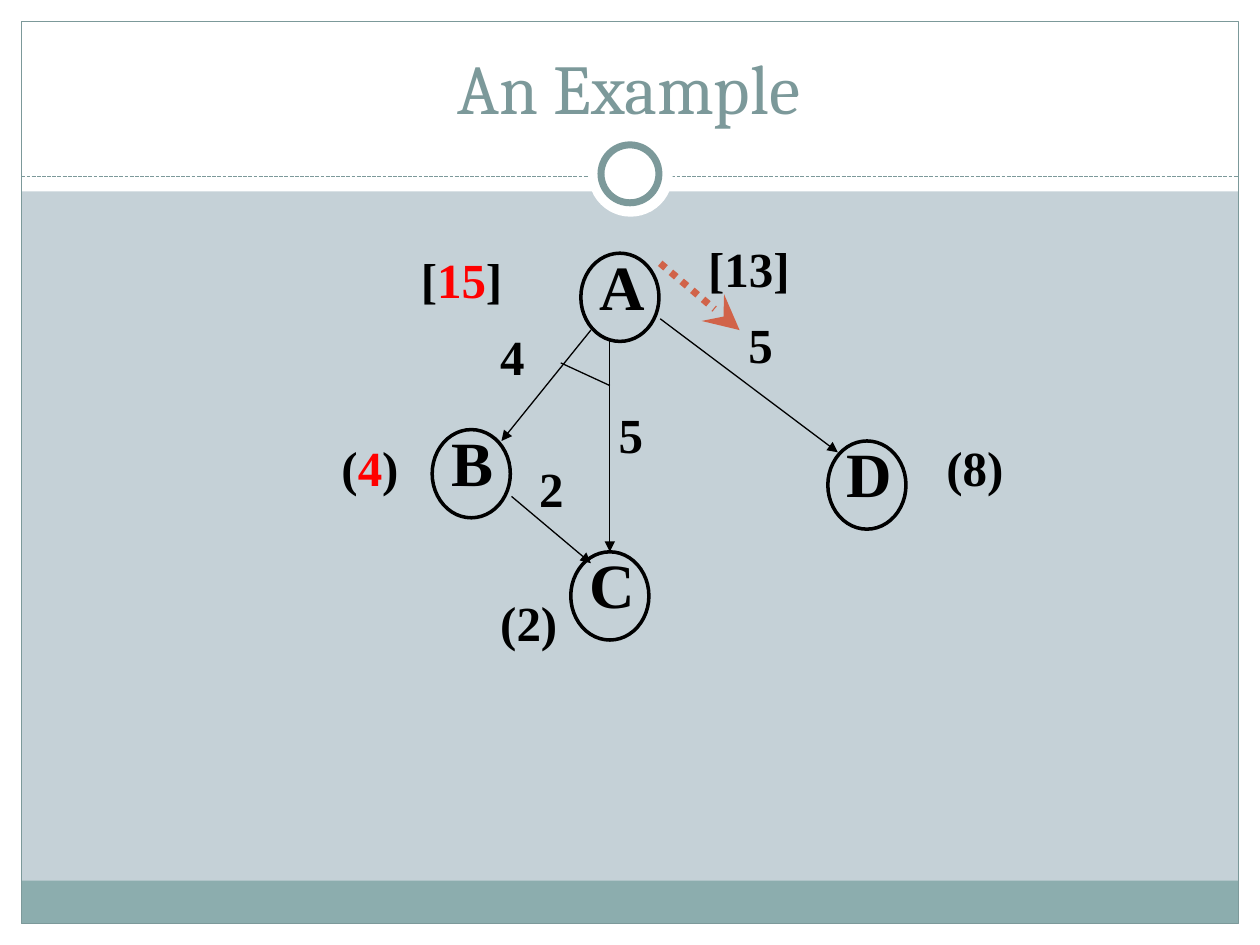
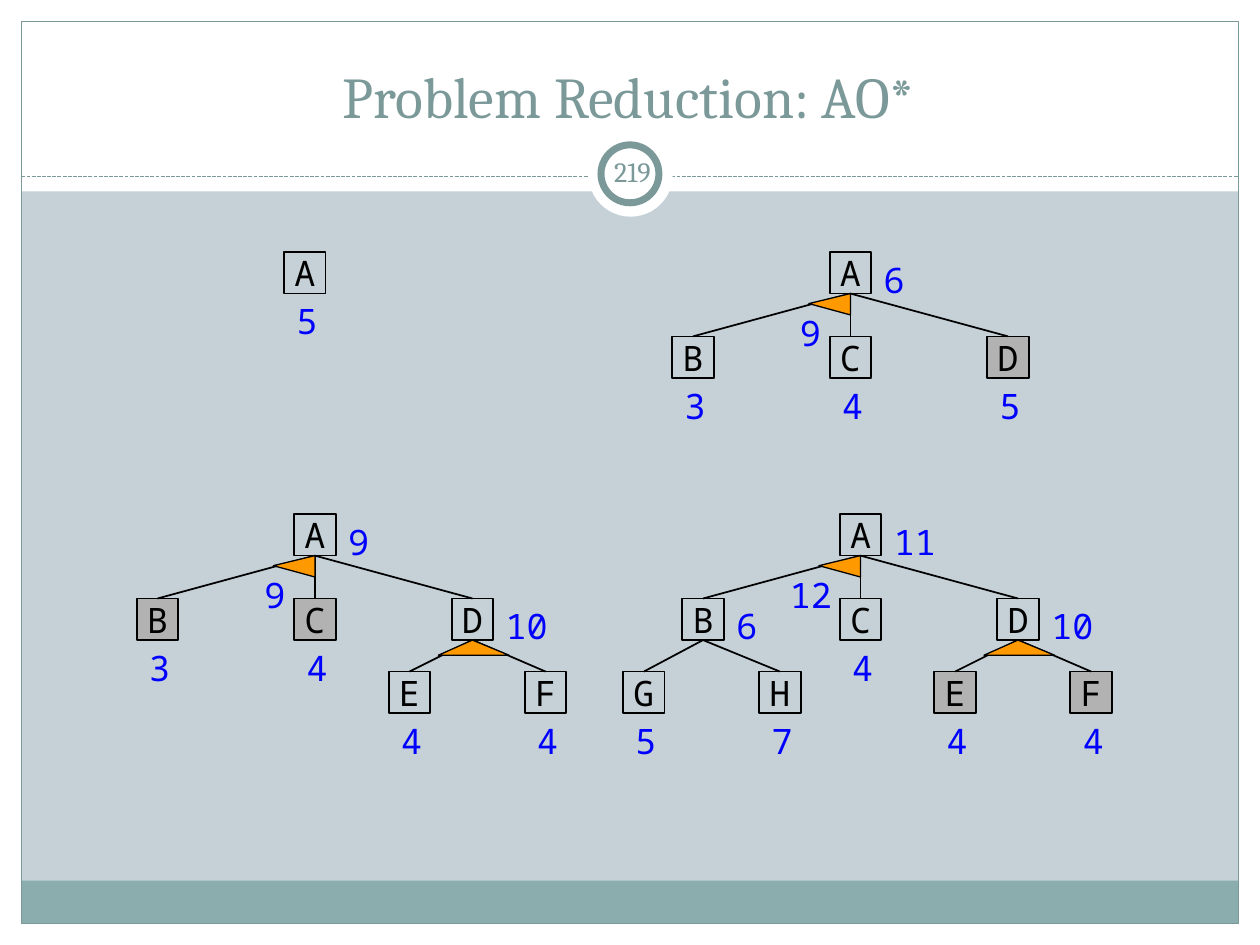
from dataclasses import dataclass

from lxml.etree import SubElement
from pptx import Presentation
from pptx.dml.color import RGBColor
from pptx.enum.dml import MSO_LINE
from pptx.enum.shapes import MSO_CONNECTOR, MSO_SHAPE
from pptx.enum.text import MSO_ANCHOR, MSO_AUTO_SIZE, PP_ALIGN
from pptx.oxml.ns import qn
from pptx.util import Inches, Pt

BLACK = RGBColor(0x00, 0x00, 0x00)
WHITE = RGBColor(0xFF, 0xFF, 0xFF)
RED = RGBColor(0xFF, 0x00, 0x00)
BLUE = RGBColor(0x00, 0x00, 0xFF)
ORANGE = RGBColor(0xFF, 0x99, 0x00)
GRAY = RGBColor(0xB2, 0xB2, 0xB2)
RUST = RGBColor(0xD1, 0x63, 0x49)
TEAL = RGBColor(0x7C, 0x99, 0x9A)
FOOTER = RGBColor(0x8C, 0xAD, 0xAE)
BACKDROP = RGBColor(0xC5, 0xD1, 0xD7)

SERIF = {"name": "Cambria", "color": TEAL}
TIMES = {"name": "Times New Roman", "bold": True, "color": BLACK}
MONO = {"name": "Noto Sans Mono", "size": Pt(20)}

SIDE = 0.33
WIDE = (-1.25, 0, 1.25)
FORK = (-0.5, 0.58)
LEFT_FORK = (-0.47, 0.61)
LEFT_ARC = ((-0.33, 0.08), (0, 0.17))
BOTH_ARC = ((-0.27, 0.12), (0.29, 0.12))
DROPS = {2: 0.58, 3: 0.67}
LABEL_WIDTHS = {1: 0.34, 3: 0.61, 4: 0.8}


@dataclass
class Node:
    """A node of a search tree with its cost and branches."""
    name: str
    cost: str
    kids: tuple = ()
    spread: tuple = ()
    arc: tuple = ()
    arc_cost: str = ""
    shaded: bool = False


def inches(*values):
    """Turn numbers into lengths."""
    return [Inches(v) for v in values]


def write(p, text, **font):
    """Add a formatted run to a paragraph."""
    r = p.add_run()
    r.text = text
    for key, value in font.items():
        if key == "color":
            r.font.color.rgb = value
        else:
            setattr(r.font, key, value)


def set_frame(tf, **values):
    """Set the attributes of a text frame."""
    for key, value in values.items():
        setattr(tf, key, value)


def paint(sp, fill=None, line=None, width=0.75):
    """Give a shape its fill and line without a shadow."""
    sp.shadow.inherit = False
    if fill is None:
        sp.fill.background()
    else:
        sp.fill.solid()
        sp.fill.fore_color.rgb = fill
    if line is None:
        sp.line.fill.background()
    else:
        sp.line.color.rgb = line
        sp.line.width = Pt(width)
    return sp


def add_shape(shapes, kind, box, **look):
    """Add a painted preset shape."""
    return paint(shapes.add_shape(kind, *inches(*box)), **look)


def add_line(shapes, ends, color=BLACK, width=0.75, dash=None, head=None):
    """Add a straight line with an optional dash and arrowhead."""
    c = shapes.add_connector(MSO_CONNECTOR.STRAIGHT, *inches(*ends))
    c.line.color.rgb = color
    c.line.width = Pt(width)
    if dash is not None:
        c.line.dash_style = dash
    spPr = c.element.spPr
    if head:
        SubElement(spPr.find(qn("a:ln")), qn("a:tailEnd"), head)
    SubElement(spPr, qn("a:effectLst"))
    return c


def build_frame(layout, s):
    """Draw the bands, border and ring and place them on the layout."""
    layout.background.fill.solid()
    layout.background.fill.fore_color.rgb = BACKDROP
    for ph in list(layout.placeholders)[1:]:
        layout.shapes.element.remove(ph.element)
    rect, oval = MSO_SHAPE.RECTANGLE, MSO_SHAPE.OVAL
    parts = [add_shape(s.shapes, rect, box, fill=WHITE) for box in (
        (0, 7.33, 10, 0.17), (0, 0, 10, 1.52),
        (0, 0, 0.17, 7.5), (9.83, 0, 0.17, 7.5))]
    parts += [
        add_shape(s.shapes, rect, (0.17, 6.99, 9.66, 0.34), fill=FOOTER),
        add_shape(s.shapes, rect, (0.17, 0.17, 9.66, 7.16), line=TEAL),
        add_line(s.shapes, (0.17, 1.4, 9.83, 1.4), TEAL,
                 dash=MSO_LINE.SQUARE_DOT),
        add_shape(s.shapes, oval, (4.67, 1.05, 0.67, 0.67), fill=WHITE),
        add_shape(s.shapes, oval, (4.77, 1.15, 0.46, 0.46),
                  fill=WHITE, line=TEAL, width=4)]
    for part in parts:
        layout.shapes.element.append(part.element)


def set_title(s, text, size, height):
    """Place and format the slide title."""
    sp = s.shapes.title
    sp.left, sp.top, sp.width, sp.height = inches(0.33, 0.25, 9.32, height)
    tf = sp.text_frame
    set_frame(tf, vertical_anchor=MSO_ANCHOR.BOTTOM, word_wrap=True)
    p = tf.paragraphs[0]
    p.alignment = PP_ALIGN.CENTER
    write(p, text, size=Pt(size), **SERIF)


def add_page_number(s, number, box):
    """Write the page number inside the ring."""
    tf = s.shapes.add_textbox(*inches(*box)).text_frame
    margins = dict.fromkeys(
        ("margin_left", "margin_top", "margin_right", "margin_bottom"),
        Inches(0.05))
    set_frame(tf, word_wrap=True, vertical_anchor=MSO_ANCHOR.MIDDLE, **margins)
    p = tf.paragraphs[0]
    p.alignment = PP_ALIGN.CENTER
    write(p, number, size=Pt(16), **SERIF)


def add_graph_text(shapes, box, size, runs):
    """Add bold graph text made of (text, colour) runs."""
    tf = shapes.add_textbox(*inches(*box)).text_frame
    set_frame(tf, word_wrap=False, auto_size=MSO_AUTO_SIZE.SHAPE_TO_FIT_TEXT,
              margin_left=Inches(0.07), margin_right=Inches(0.07),
              margin_top=Inches(0.03), margin_bottom=Inches(0.03))
    p = tf.paragraphs[0]
    p.line_spacing = 0.88
    for text, color in runs:
        write(p, text, size=Pt(size), **{**TIMES, "color": color})


def add_graph(s, x, y):
    """Draw the AND-OR graph with its top left corner at x, y."""
    shapes = s.shapes.add_group_shape().shapes
    for name, dx, dy in (("A", 1.97, 0.09), ("B", 0.79, 1.49),
                         ("C", 1.89, 2.46), ("D", 3.93, 1.58)):
        add_shape(shapes, MSO_SHAPE.OVAL, (x + dx, y + dy, 0.62, 0.7),
                  line=BLACK, width=2)
        add_graph_text(shapes, (x + dx + 0.08, y + dy, 0.5, 0.65), 36,
                       [(name, BLACK)])
    arrow = {"head": {"type": "triangle"}}
    dotted = {"color": RUST, "width": 4, "dash": MSO_LINE.ROUND_DOT,
              "head": {"type": "stealth", "w": "lg", "len": "lg"}}
    for (x1, y1, x2, y2), look in (
            ((2.05, 0.7, 1.34, 1.58), arrow),
            ((2.2, 0.79, 2.2, 2.46), arrow),
            ((2.6, 0.61, 4.01, 1.67), arrow),
            ((1.42, 2.02, 2.05, 2.55), arrow),
            ((1.81, 0.96, 2.2, 1.14), {}),
            ((2.6, 0.17, 3.23, 0.7), dotted)):
        add_line(shapes, (x + x1, y + y1, x + x2, y + y2), **look)
    for dx, dy, *parts in (
            (4.8, 1.58, "(8)"), (0, 1.58, "(", "4", ")"),
            (1.26, 2.81, "(2)"), (0.63, 0.09, "[", "15", "]"),
            (1.26, 0.7, "4"), (3.23, 0.61, "5"), (2.2, 1.32, "5"),
            (2.91, 0, "[13]"), (1.57, 1.75, "2")):
        runs = list(zip(parts, (BLACK, RED, BLACK)))
        width = LABEL_WIDTHS[len("".join(parts))]
        add_graph_text(shapes, (x + dx, y + dy, width, 0.52), 28, runs)


def cost_width(text):
    """Return the width of a cost label."""
    return 0.26 + 0.16 * len(text)


def add_cost(s, text, x, y):
    """Add a blue cost label."""
    tf = s.shapes.add_textbox(*inches(x, y, cost_width(text), 0.43)).text_frame
    set_frame(tf, word_wrap=True, auto_size=MSO_AUTO_SIZE.SHAPE_TO_FIT_TEXT)
    write(tf.paragraphs[0], text, color=BLUE, **MONO)


def add_arc(s, x, y, corners):
    """Add the wedge that marks AND branches below the point x, y."""
    builder = s.shapes.build_freeform(*inches(x, y))
    builder.add_line_segments([inches(x + dx, y + dy) for dx, dy in corners])
    paint(builder.convert_to_shape(), fill=ORANGE, line=BLACK)


def add_tree(s, node, x, y):
    """Draw a node centred on x with its top at y, and all below it."""
    left, bottom = x - SIDE / 2, y + SIDE
    sp = add_shape(s.shapes, MSO_SHAPE.RECTANGLE, (left, y, SIDE, SIDE),
                   fill=GRAY if node.shaded else None, line=BLACK, width=1)
    tf = sp.text_frame
    set_frame(tf, word_wrap=False, vertical_anchor=MSO_ANCHOR.MIDDLE)
    tf.paragraphs[0].alignment = PP_ALIGN.CENTER
    write(tf.paragraphs[0], node.name, color=BLACK, **MONO)
    if node.kids:
        add_cost(s, node.cost, left + SIDE, y)
    else:
        add_cost(s, node.cost, left, bottom)
    for kid, dx in zip(node.kids, node.spread):
        top = y + DROPS[len(node.kids)]
        child = add_tree(s, kid, x + dx, top)
        c = add_line(s.shapes, (x, bottom, x + dx, top), width=1)
        c.begin_connect(sp, 2)
        c.end_connect(child, 0)
    if node.arc:
        add_arc(s, x, bottom, node.arc)
    if node.arc_cost:
        add_cost(s, node.arc_cost, x - 0.08 - cost_width(node.arc_cost),
                 y + 0.42)
    return sp


def root(cost, arc_cost, *kids):
    """Return a root A with three branches, two of them joined."""
    return Node("A", cost, kids, WIDE, LEFT_ARC, arc_cost)


def expanded_d(shaded):
    """Return node D with its joined branches E and F."""
    kids = tuple(Node(name, "4", shaded=shaded) for name in "EF")
    return Node("D", "10", kids, FORK, BOTH_ARC)


def example_slide(s):
    """Fill the example slide."""
    set_title(s, "An Example", 40, 0.82)
    add_graph(s, 2.64, 1.92)


def reduction_slide(s):
    """Fill the slide with the four steps of the search."""
    add_page_number(s, "219", (4.77, 1.12, 0.5, 0.48))
    set_title(s, "Problem Reduction: AO*", 33, 0.83)
    b, c = Node("B", "3"), Node("C", "4")
    expanded_b = Node("B", "6", (Node("G", "5"), Node("H", "7")), LEFT_FORK)
    add_tree(s, Node("A", "5"), 2.42, 2)
    add_tree(s, root("6", "9", b, c, Node("D", "5", shaded=True)), 6.75, 2)
    add_tree(s, root("9", "9", Node("B", "3", shaded=True),
                     Node("C", "4", shaded=True), expanded_d(False)),
             2.5, 4.08)
    add_tree(s, root("11", "12", expanded_b, c, expanded_d(True)), 6.83, 4.08)


def main():
    """Build and save the presentation."""
    prs = Presentation()
    prs.slide_width, prs.slide_height = inches(10, 7.5)
    layout = prs.slide_layouts[5]
    slides = [prs.slides.add_slide(layout) for _ in range(2)]
    build_frame(layout, slides[0])
    for fill_slide, s in zip((example_slide, reduction_slide), slides):
        fill_slide(s)
    prs.save("out.pptx")


if __name__ == "__main__":
    main()
